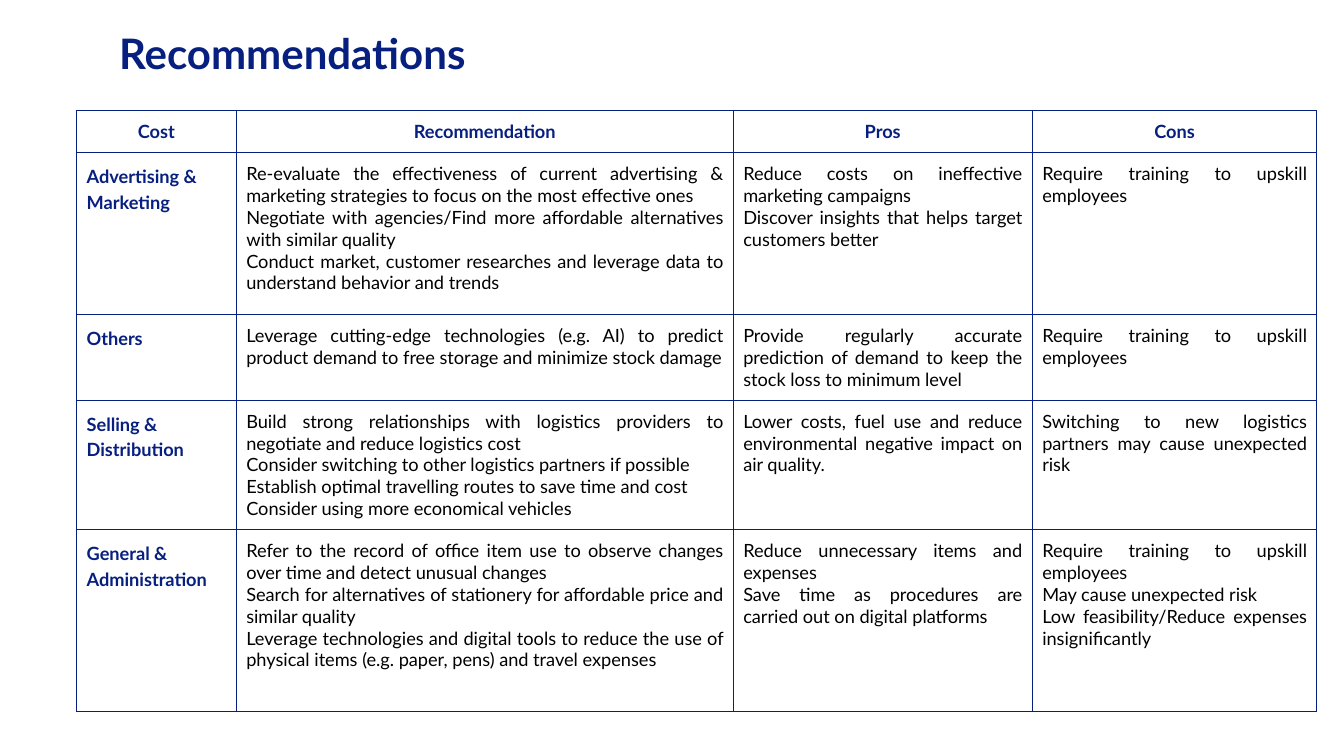
import pptx
import pptx.util
import pptx.dml.color
import pptx.enum.text
import pptx.oxml
import pptx.oxml.ns

Pt = pptx.util.Pt
ALIGN = pptx.enum.text.PP_ALIGN
COLORS = {"navy": "071F7F", "black": "000000"}
INSET = 7.2

FORMATS = {
    "title": {"font": {"size": Pt(30), "bold": True}, "color": "navy",
              "para": {"alignment": ALIGN.LEFT}},
    "head": {"font": {"size": Pt(13), "bold": True}, "color": "navy",
             "para": {"alignment": ALIGN.CENTER}},
    "cost": {"font": {"size": Pt(13), "bold": True}, "color": "navy",
             "para": {"alignment": ALIGN.LEFT, "line_spacing": 1.15}},
    "body": {"font": {"size": Pt(13), "bold": False}, "color": "black",
             "para": {"alignment": ALIGN.JUSTIFY}},
}

WIDTHS = [114, 355, 213.6, 203.4]
HEIGHTS = [29, 115.5, 59, 71, 130]
HEADS = ["Cost", "Recommendation", "Pros", "Cons"]
ROWS = [
    ["Advertising & Marketing",
     "Re-evaluate the effectiveness of current advertising & marketing "
     "strategies to focus on the most effective ones\n"
     "Negotiate with agencies/Find more affordable alternatives with similar quality\n"
     "Conduct market, customer researches and leverage data to understand "
     "behavior and trends",
     "Reduce costs on ineffective marketing campaigns\n"
     "Discover insights that helps target customers better",
     "Require training to upskill employees"],
    ["Others",
     "Leverage cutting-edge technologies (e.g. AI) to predict product demand "
     "to free storage and minimize stock damage",
     "Provide regularly accurate prediction of demand to keep the stock loss "
     "to minimum level",
     "Require training to upskill employees"],
    ["Selling & Distribution",
     "Build strong relationships with logistics providers to negotiate and "
     "reduce logistics cost\n"
     "Consider switching to other logistics partners if possible\n"
     "Establish optimal travelling routes to save time and cost\n"
     "Consider using more economical vehicles",
     "Lower costs, fuel use and reduce environmental negative impact on air quality.",
     "Switching to new logistics partners may cause unexpected risk"],
    ["General & Administration",
     "Refer to the record of office item use to observe changes over time and "
     "detect unusual changes\n"
     "Search for alternatives of stationery for affordable price and similar quality\n"
     "Leverage technologies and digital tools to reduce the use of physical "
     "items (e.g. paper, pens) and travel expenses",
     "Reduce unnecessary items and expenses\n"
     "Save time as procedures are carried out on digital platforms",
     "Require training to upskill employees\n"
     "May cause unexpected risk\n"
     "Low feasibility/Reduce expenses insignificantly"],
]


def assign(target, values):
    for name, value in values.items():
        setattr(target, name, value)


def write(holder, text, style):
    """Fill a cell or text frame, one paragraph per line of text."""
    sides = ("left", "top", "right", "bottom")
    assign(holder, {f"margin_{side}": Pt(INSET) for side in sides})
    frame = getattr(holder, "text_frame", holder)
    frame.word_wrap = True
    frame.text = text
    form = FORMATS[style]
    for para in frame.paragraphs:
        assign(para, form["para"])
        for run in para.runs:
            assign(run.font, {"name": "Lato", **form["font"]})
            run.font.color.rgb = pptx.dml.color.RGBColor.from_string(COLORS[form["color"]])


def outline(cell):
    props = cell._tc.get_or_add_tcPr()
    for side in "LRTB":
        props.append(pptx.oxml.parse_xml(
            f'<a:ln{side} {pptx.oxml.ns.nsdecls("a")} w="{Pt(0.75)}"><a:solidFill>'
            f'<a:srgbClr val="{COLORS["navy"]}"/></a:solidFill></a:ln{side}>'))
    cell.fill.background()


def add_title(slide, left, top, width, height):
    box = slide.shapes.add_textbox(Pt(left), Pt(top), Pt(width), Pt(height))
    write(box.text_frame, "Recommendations", "title")


def add_grid(slide, left, top):
    data = [HEADS] + ROWS
    table = slide.shapes.add_table(
        len(data), len(HEADS), Pt(left), Pt(top),
        Pt(sum(WIDTHS)), Pt(sum(HEIGHTS))).table
    assign(table, {"first_row": False, "horz_banding": False})
    for col, width in zip(table.columns, WIDTHS):
        col.width = Pt(width)
    for r, (row, height) in enumerate(zip(table.rows, HEIGHTS)):
        row.height = Pt(height)
        for c, cell in enumerate(row.cells):
            style = "head" if r == 0 else "cost" if c == 0 else "body"
            outline(cell)
            write(cell, data[r][c], style)


def main():
    deck = pptx.Presentation()
    assign(deck, {"slide_width": Pt(960), "slide_height": Pt(540)})
    slide = deck.slides.add_slide(deck.slide_layouts[6])
    add_title(slide, 78, 12.25, 721, 51)
    add_grid(slide, 54.75, 79)
    deck.save("out.pptx")


if __name__ == "__main__":
    main()
